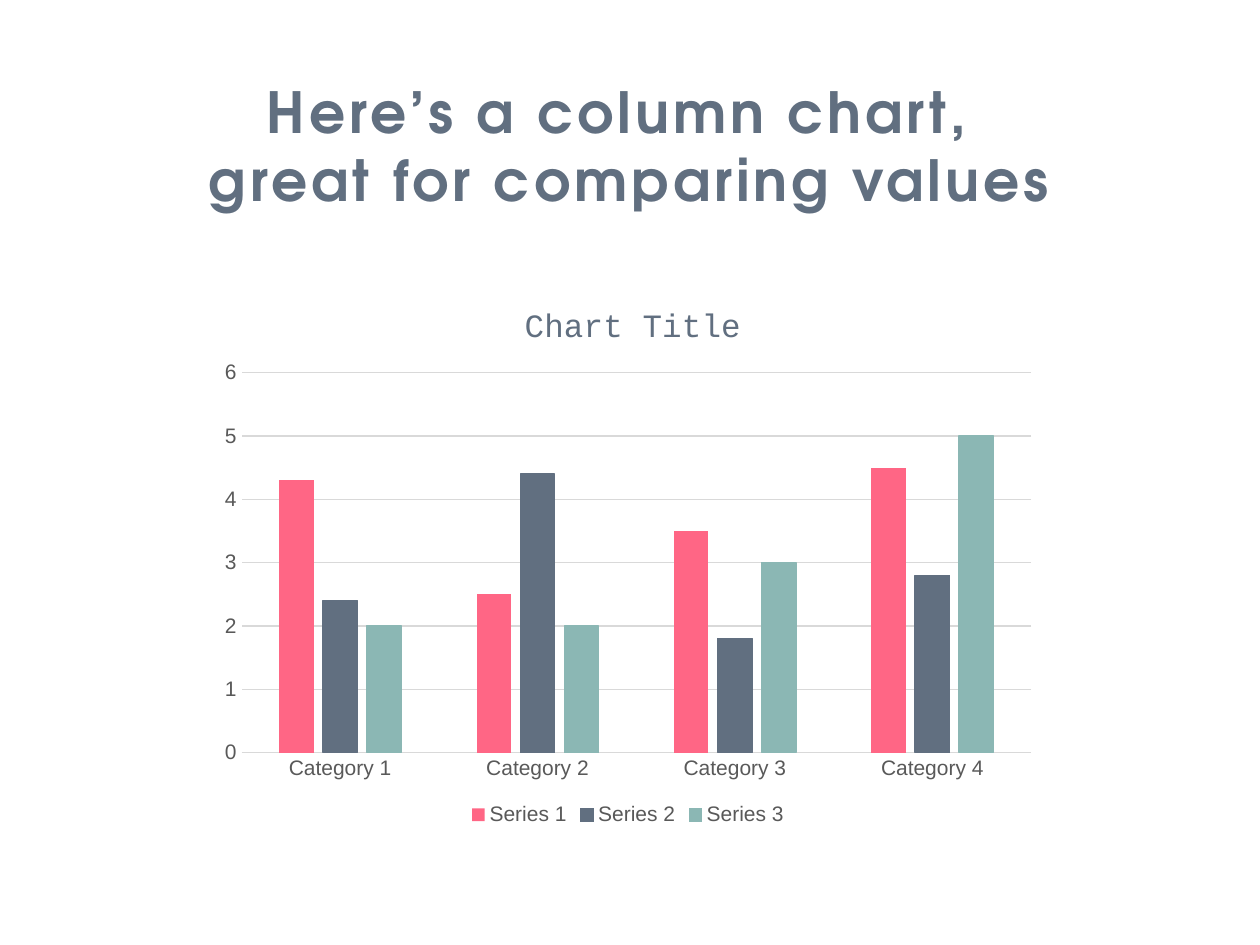
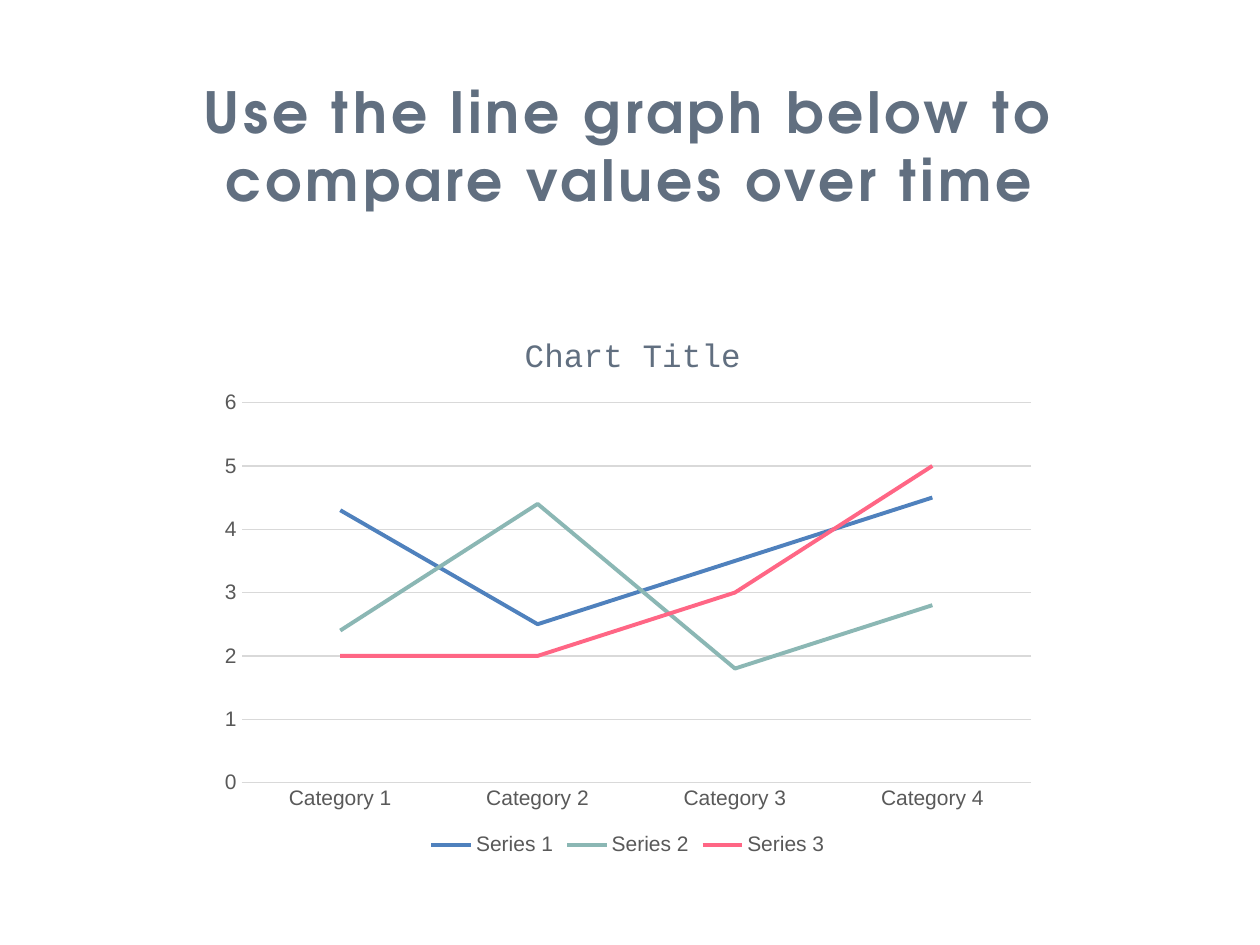
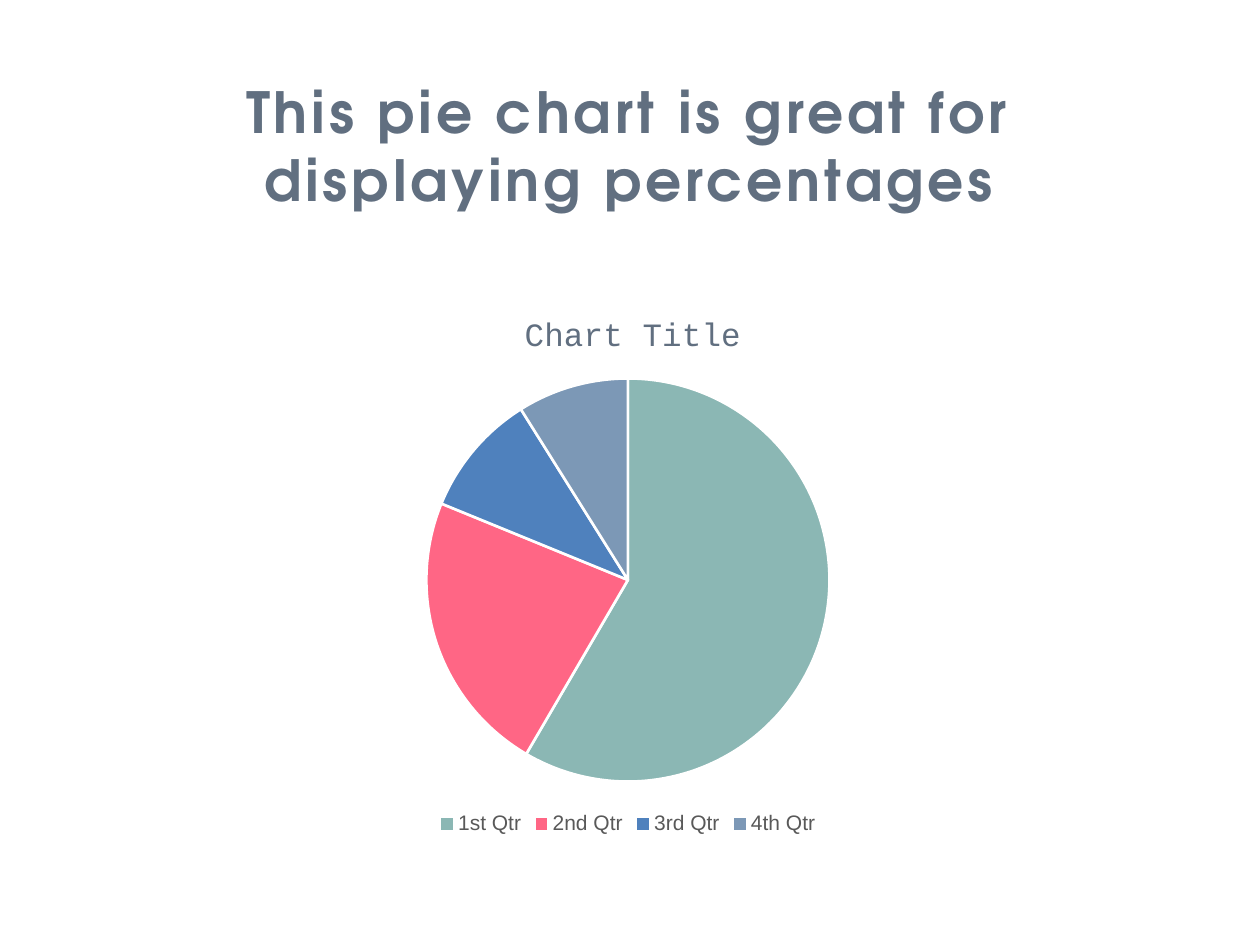
import pptx
import pptx.chart.data
import pptx.dml.color
import pptx.enum.chart
import pptx.enum.text
import pptx.oxml
import pptx.oxml.ns
import pptx.util

RGB = pptx.dml.color.RGBColor
Pt = pptx.util.Pt
TYPES = pptx.enum.chart.XL_CHART_TYPE
TICK = pptx.enum.chart.XL_TICK_MARK

PX = 914400 / 126  # EMU per pixel

# Shared colours and text styles
SLATE = RGB(0x61, 0x6F, 0x80)
PINK = RGB(0xFF, 0x66, 0x85)
TEAL = RGB(0x8B, 0xB7, 0xB4)
BLUE = RGB(0x4F, 0x81, 0xBD)
STEEL = RGB(0x7C, 0x98, 0xB6)
GREY = RGB(0x59, 0x59, 0x59)
GRID = RGB(0xD9, 0xD9, 0xD9)
WHITE = RGB(0xFF, 0xFF, 0xFF)

TITLE = {"name": "TeX Gyre Adventor", "size": Pt(32.4), "bold": True, "color": SLATE}
CHART_TITLE = {"name": "Courier New", "size": Pt(18.6), "bold": False, "color": SLATE}
LABEL = {"name": "Arial", "size": Pt(12), "bold": False, "color": GREY}

# Chart frame in px, and parts of it as fractions of the frame
CHART_LEFT, CHART_WIDTH, CHART_HEIGHT = 208, 840, 559
TITLE_AREA = {"x": 0.37, "y": 0.05}
AXES_AREA = {"x": 0.04, "y": 0.18, "w": 0.94, "h": 0.68}
PIE_AREA = {"x": 0.26, "y": 0.17, "w": 0.48, "h": 0.73}

# Data of the column and line charts
CATEGORIES = ["Category 1", "Category 2", "Category 3", "Category 4"]
SERIES = {
    "Series 1": (4.3, 2.5, 3.5, 4.5),
    "Series 2": (2.4, 4.4, 1.8, 2.8),
    "Series 3": (2, 2, 3, 5),
}


def px(n):
    return round(n * PX)


def set_font(font, style):
    for key, value in style.items():
        if key == "color":
            font.color.rgb = value
        else:
            setattr(font, key, value)


def set_line(line, color, width):
    line.color.rgb = color
    line.width = Pt(width)


def set_layout(element, index, area, inner=False):
    """Fix the place of a chart part inside the chart frame."""
    for old in element.findall(pptx.oxml.ns.qn("c:layout")):
        element.remove(old)
    target = '<c:layoutTarget val="inner"/>' if inner else ""
    modes = "".join(f'<c:{k}Mode val="edge"/>' for k in "xy")
    values = "".join(f'<c:{k} val="{v}"/>' for k, v in area.items())
    element.insert(index, pptx.oxml.parse_xml(
        f'<c:layout {pptx.oxml.ns.nsdecls("c")}><c:manualLayout>'
        f"{target}{modes}{values}</c:manualLayout></c:layout>"))


def add_title(s, lines):
    tf = s.shapes.add_textbox(px(116), px(77), px(1026), px(95)).text_frame
    tf.word_wrap = True
    tf.margin_left = tf.margin_top = tf.margin_right = tf.margin_bottom = 0
    p = tf.paragraphs[0]
    p.alignment = pptx.enum.text.PP_ALIGN.CENTER
    for i, line in enumerate(lines):
        if i:
            p.add_line_break()
        r = p.add_run()
        r.text = line
        set_font(r.font, TITLE)
        r._r.get_or_add_rPr().set("spc", "220")


def add_chart(s, kind, top, categories, series, area):
    """Add a chart with the shared title and legend."""
    data = pptx.chart.data.CategoryChartData()
    data.categories = categories
    for name, values in series.items():
        data.add_series(name, values)
    chart = s.shapes.add_chart(kind, px(CHART_LEFT), px(top), px(CHART_WIDTH),
                               px(CHART_HEIGHT), data).chart
    set_font(chart.font, {"name": "Arial", "size": Pt(10)})

    chart.has_title = True
    p = chart.chart_title.text_frame.paragraphs[0]
    r = p.add_run()
    r.text = "Chart Title"
    set_font(r.font, CHART_TITLE)
    set_layout(chart.chart_title._element, 1, TITLE_AREA)

    chart.has_legend = True
    chart.legend.position = pptx.enum.chart.XL_LEGEND_POSITION.BOTTOM
    chart.legend.include_in_layout = False
    set_font(chart.legend.font, LABEL)
    set_layout(chart._chartSpace.chart.plotArea, 0, area, inner=True)
    return chart


def add_axes_chart(s, kind, top):
    chart = add_chart(s, kind, top, CATEGORIES, SERIES, AXES_AREA)
    chart.plots[0].vary_by_categories = False
    for axis in (chart.category_axis, chart.value_axis):
        axis.major_tick_mark = axis.minor_tick_mark = TICK.NONE
        set_font(axis.tick_labels.font, LABEL)
    set_line(chart.category_axis.format.line, GRID, 0.75)
    values = chart.value_axis
    values.minimum_scale, values.maximum_scale, values.major_unit = 0, 6, 1
    values.format.line.fill.background()
    values.has_major_gridlines = True
    set_line(values.major_gridlines.format.line, GRID, 0.75)
    return chart


def add_column_chart(s, top, colors):
    plot = add_axes_chart(s, TYPES.COLUMN_CLUSTERED, top).plots[0]
    plot.gap_width, plot.overlap = 219, -27
    for i, (series, color) in enumerate(zip(plot.series, colors)):
        series.format.fill.solid()
        series.format.fill.fore_color.rgb = color
        if i:  # the first series has no outline
            set_line(series.format.line, color, 0.75)
        else:
            series.format.line.fill.background()


def add_line_chart(s, top, colors):
    plot = add_axes_chart(s, TYPES.LINE, top).plots[0]
    for series, color in zip(plot.series, colors):
        series.smooth = False
        set_line(series.format.line, color, 2.25)


def add_pie_chart(s, top, slices):
    chart = add_chart(s, TYPES.PIE, top, list(slices),
                      {"Series 1": [value for value, _ in slices.values()]}, PIE_AREA)
    plot = chart.plots[0]
    plot.vary_by_categories = True
    for i, (_, color) in enumerate(slices.values()):
        fmt = plot.series[0].points[i].format
        fmt.fill.solid()
        fmt.fill.fore_color.rgb = color
        set_line(fmt.line, WHITE, 1.5)


def main():
    prs = pptx.Presentation()
    prs.slide_width, prs.slide_height = px(1260), px(945)
    blank = prs.slide_layouts[6]

    # Column chart
    s = prs.slides.add_slide(blank)
    add_column_chart(s, 272, [PINK, SLATE, TEAL])
    add_title(s, ["Here’s a column chart, ", "great for comparing values"])

    # Line graph
    s = prs.slides.add_slide(blank)
    add_title(s, ["Use the line graph below to", "compare values over time"])
    add_line_chart(s, 302, [BLUE, TEAL, PINK])

    # Pie chart
    s = prs.slides.add_slide(blank)
    add_title(s, ["This pie chart is great for", "displaying percentages"])
    add_pie_chart(s, 281, {"1st Qtr": (59, TEAL), "2nd Qtr": (23, PINK),
                           "3rd Qtr": (10, BLUE), "4th Qtr": (9, STEEL)})

    prs.save("out.pptx")


if __name__ == "__main__":
    main()
